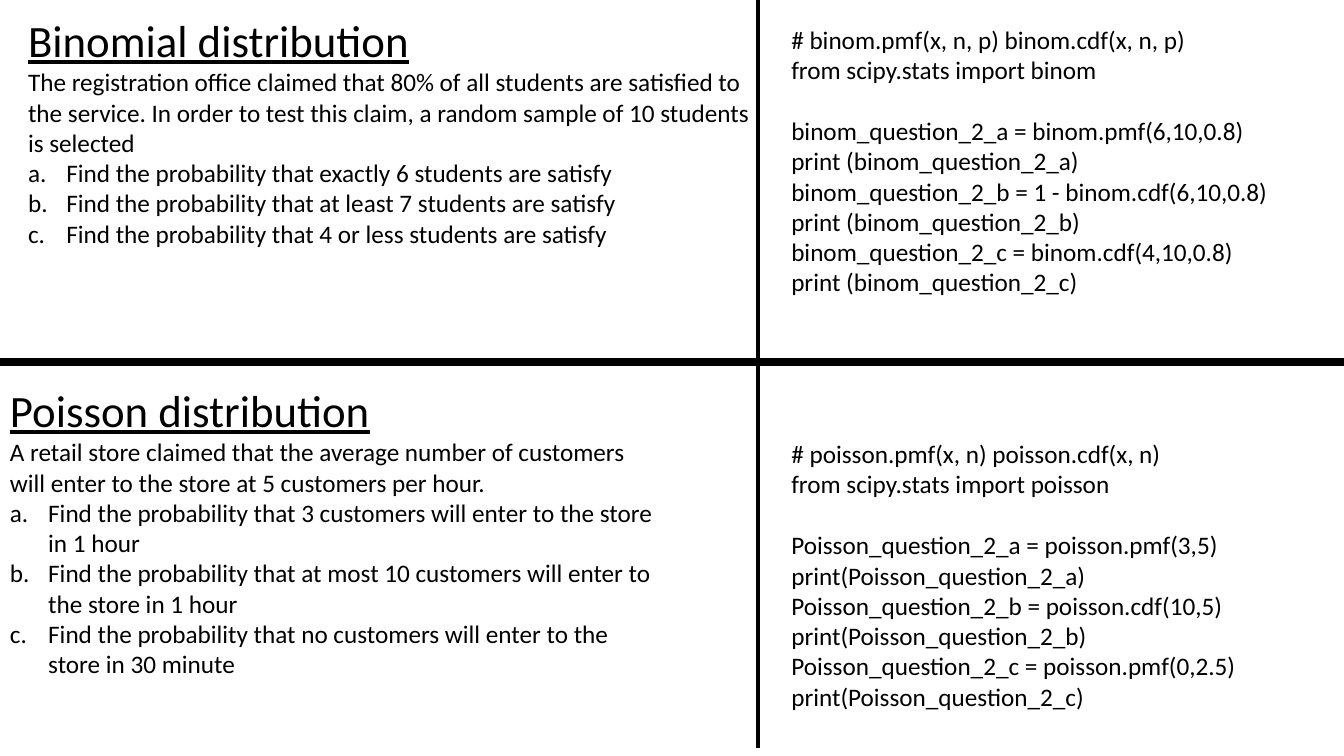
import pptx
import pptx.util
import pptx.dml.color
import pptx.enum.shapes
import pptx.enum.text
import pptx.oxml.ns
import lxml.etree

Inches = pptx.util.Inches
Pt = pptx.util.Pt

FONT = "Calibri"
BLACK = "000000"
HEADING = {"size": Pt(32), "underline": True, "name": FONT}
BODY = {"size": Pt(18), "name": FONT}
HANGING = Inches(0.38)
CODE_GAP = Pt(22)

BINOMIAL = {
    "heading": "Binomial distribution",
    "claim": "The registration office claimed that 80% of all students are satisfied "
             "to the service. In order to test this claim, a random sample of 10 "
             "students is selected",
    "questions": [
        "Find the probability that exactly 6 students are satisfy",
        "Find the probability that at least 7 students are satisfy",
        "Find the probability that 4 or less students are satisfy",
    ],
    "setup": ["# binom.pmf(x, n, p) binom.cdf(x, n, p)",
              "from scipy.stats import binom"],
    "answers": [
        "binom_question_2_a = binom.pmf(6,10,0.8)",
        "print (binom_question_2_a)",
        "binom_question_2_b = 1 - binom.cdf(6,10,0.8)",
        "print (binom_question_2_b)",
        "binom_question_2_c = binom.cdf(4,10,0.8)",
        "print (binom_question_2_c)",
    ],
}
POISSON = {
    "heading": "Poisson distribution",
    "claim": "A retail store claimed that the average number of customers will enter "
             "to the store at 5 customers per hour.",
    "questions": [
        "Find the probability that 3 customers will enter to the store in 1 hour",
        "Find the probability that at most 10 customers will enter to the store in 1 hour",
        "Find the probability that no customers will enter to the store in 30 minute",
    ],
    "setup": ["# poisson.pmf(x, n) poisson.cdf(x, n)",
              "from scipy.stats import poisson"],
    "answers": [
        "Poisson_question_2_a = poisson.pmf(3,5)",
        "print(Poisson_question_2_a)",
        "Poisson_question_2_b = poisson.cdf(10,5)",
        "print(Poisson_question_2_b)",
        "Poisson_question_2_c = poisson.pmf(0,2.5)",
        "print(Poisson_question_2_c)",
    ],
}


def color(hex_value):
    return pptx.dml.color.RGBColor.from_string(hex_value)


def add_text_frame(slide, box):
    frame = slide.shapes.add_textbox(*map(Inches, box)).text_frame
    frame.word_wrap = True
    frame.auto_size = pptx.enum.text.MSO_AUTO_SIZE.SHAPE_TO_FIT_TEXT
    return frame


def add_line(frame, text, font_format):
    """Write text in the first paragraph if it is free, else in a new one."""
    first = frame.paragraphs[0]
    paragraph = frame.add_paragraph() if first.runs else first
    run = paragraph.add_run()
    run.text = text
    for attribute, value in font_format.items():
        setattr(run.font, attribute, value)
    run.font.color.rgb = color(BLACK)
    return paragraph


def letter_item(paragraph):
    """Number the paragraph a., b., c. with a hanging indent."""
    properties = paragraph._p.get_or_add_pPr()
    properties.set("marL", str(HANGING))
    properties.set("indent", str(-HANGING))
    numbering = lxml.etree.SubElement(properties, pptx.oxml.ns.qn("a:buAutoNum"))
    numbering.set("type", "alphaLcPeriod")


def add_problem(slide, box, topic):
    frame = add_text_frame(slide, box)
    add_line(frame, topic["heading"], HEADING)
    add_line(frame, topic["claim"], BODY)
    for question in topic["questions"]:
        letter_item(add_line(frame, question, BODY))


def add_code(slide, box, topic):
    frame = add_text_frame(slide, box)
    for statement in topic["setup"]:
        add_line(frame, statement, BODY)
    answers = [add_line(frame, statement, BODY) for statement in topic["answers"]]
    answers[0].space_before = CODE_GAP


def add_divider(slide, start, end, width):
    divider = slide.shapes.add_connector(
        pptx.enum.shapes.MSO_CONNECTOR.STRAIGHT, *map(Inches, start + end))
    divider.line.color.rgb = color(BLACK)
    divider.line.width = Pt(width)
    lxml.etree.SubElement(divider._element.spPr, pptx.oxml.ns.qn("a:effectLst"))


def main():
    deck = pptx.Presentation()
    deck.slide_width = Inches(13.33)
    deck.slide_height = Inches(7.5)
    slide = deck.slides.add_slide(deck.slide_layouts[6])

    # Upper half: binomial
    add_problem(slide, (0.18, 0.08, 7.45, 2.46), BINOMIAL)
    add_code(slide, (7.75, 0.19, 5.27, 2.83), BINOMIAL)

    # Lower half: Poisson
    add_problem(slide, (0, 3.75, 6.67, 3.06), POISSON)
    add_code(slide, (7.75, 4.3, 5.42, 2.83), POISSON)

    # Dividers between the four regions
    add_divider(slide, (0, 3.59), (13.33, 3.59), 6)
    add_divider(slide, (7.52, -0.08), (7.52, 7.42), 3)

    deck.save("out.pptx")


if __name__ == "__main__":
    main()
